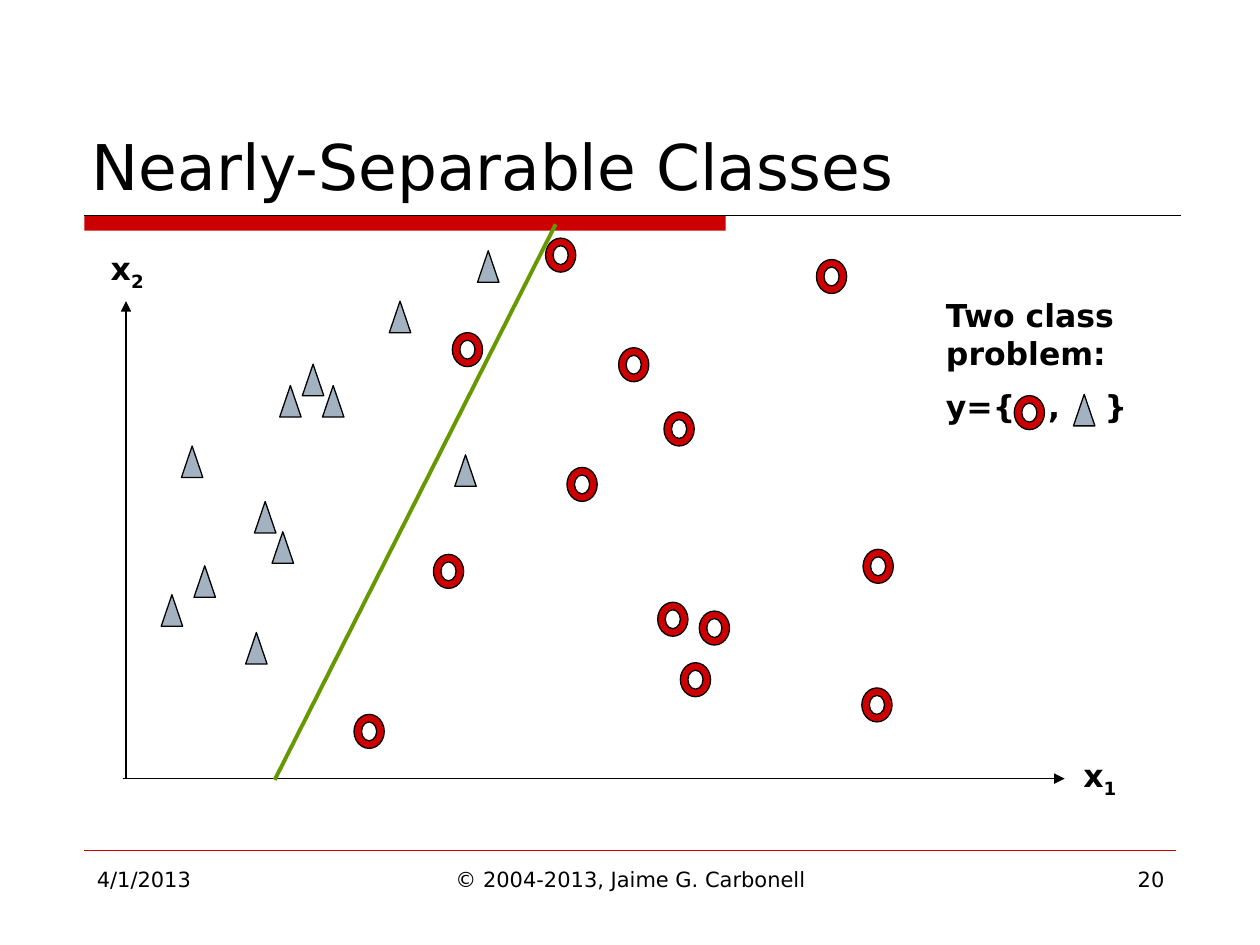
from typing import NamedTuple

import lxml.etree
import pptx
import pptx.dml.color
import pptx.enum.shapes
import pptx.enum.text
import pptx.oxml.ns
import pptx.util

Inches = pptx.util.Inches
Pt = pptx.util.Pt
Shape = pptx.enum.shapes.MSO_SHAPE
Align = pptx.enum.text.PP_ALIGN
Anchor = pptx.enum.text.MSO_ANCHOR
qn = pptx.oxml.ns.qn

FONT = "DejaVu Sans"
BLACK, RED, GREEN, STEEL = "000000", "CC0000", "669900", "A3B2C1"


class Marker(NamedTuple):
    kind: Shape
    width: float
    height: float
    fill: str


class Spot(NamedTuple):
    left: float
    top: float


class Label(NamedTuple):
    text: str
    left: float
    width: float
    align: Align


TRIANGLE = Marker(Shape.ISOSCELES_TRIANGLE, 0.17, 0.25, STEEL)
RING = Marker(Shape.DONUT, 0.24, 0.27, RED)

TRIANGLE_SPOTS = [
    Spot(1.44, 3.54), Spot(1.28, 4.72), Spot(2.16, 4.22), Spot(3.09, 2.39),
    Spot(1.54, 4.49), Spot(2.22, 3.06), Spot(2.02, 3.98), Spot(2.4, 2.89),
    Spot(3.79, 1.99), Spot(2.56, 3.06), Spot(1.95, 5.02), Spot(3.61, 3.61),
]
RING_SPOTS = [
    Spot(2.81, 5.67), Spot(3.44, 4.4), Spot(4.33, 1.89), Spot(4.5, 3.71),
    Spot(5.4, 5.26), Spot(5.55, 4.85), Spot(5.22, 4.78), Spot(6.48, 2.06),
    Spot(5.27, 3.27), Spot(6.85, 4.36), Spot(6.84, 5.46), Spot(4.91, 2.76),
    Spot(3.59, 2.64),
]
FOOTERS = [
    Label("4/1/2013", 0.67, 2.17, Align.LEFT),
    Label("© 2004-2013, Jaime G. Carbonell", 3.42, 3.17, Align.CENTER),
    Label("20", 7.17, 2.17, Align.RIGHT),
]


def color(code: str) -> pptx.dml.color.RGBColor:
    return pptx.dml.color.RGBColor.from_string(code)


def add_line(page, x1: float, y1: float, x2: float, y2: float,
             stroke: str = BLACK, weight: float = 0.75, arrow: bool = False) -> None:
    line = page.shapes.add_connector(
        pptx.enum.shapes.MSO_CONNECTOR.STRAIGHT,
        Inches(x1), Inches(y1), Inches(x2), Inches(y2))
    line.line.color.rgb = color(stroke)
    line.line.width = Pt(weight)
    if arrow:
        outline = line.line._get_or_add_ln()
        lxml.etree.SubElement(outline, qn("a:tailEnd"), type="triangle")
    lxml.etree.SubElement(line._element.spPr, qn("a:effectLst"))


def add_figure(page, marker: Marker, spot: Spot, outlined: bool = True) -> None:
    figure = page.shapes.add_shape(
        marker.kind, Inches(spot.left), Inches(spot.top),
        Inches(marker.width), Inches(marker.height))
    figure.shadow.inherit = False
    figure.fill.solid()
    figure.fill.fore_color.rgb = color(marker.fill)
    if outlined:
        figure.line.color.rgb = color(BLACK)
        figure.line.width = Pt(0.75)
    else:
        figure.line.fill.background()


def add_box(page, left: float, top: float, width: float, height: float,
            wrap: bool = True, anchor: Anchor = Anchor.TOP):
    box = page.shapes.add_textbox(
        Inches(left), Inches(top), Inches(width), Inches(height))
    box.text_frame.word_wrap = wrap
    box.text_frame.vertical_anchor = anchor
    return box.text_frame


def add_span(para, text: str, size: float = 18, bold: bool = False,
             baseline: int = 0) -> None:
    span = para.add_run()
    span.text = text
    span.font.name = FONT
    span.font.size = Pt(size)
    span.font.bold = bold
    span.font.color.rgb = color(BLACK)
    if baseline:
        span.font._element.set("baseline", str(baseline * 1000))


def add_tab_stops(para, *stops: float) -> None:
    tabs = lxml.etree.SubElement(para._p.get_or_add_pPr(), qn("a:tabLst"))
    for stop in stops:
        lxml.etree.SubElement(tabs, qn("a:tab"), pos=str(Inches(stop)), algn="l")


def add_axis_label(page, index: str, left: float, top: float) -> None:
    para = add_box(page, left, top, 0.49, 0.4, wrap=False).paragraphs[0]
    add_span(para, "x", bold=True)
    add_span(para, index, bold=True, baseline=-25)


def main() -> None:
    deck = pptx.Presentation()
    deck.slide_width, deck.slide_height = Inches(10), Inches(7.5)
    page = deck.slides.add_slide(deck.slide_layouts[6])

    # Title and its rule
    add_figure(page, Marker(Shape.RECTANGLE, 5.09, 0.12, RED),
               Spot(0.67, 1.71), outlined=False)
    add_line(page, 0.67, 1.71, 9.37, 1.71)
    title = add_box(page, 0.63, 0.33, 8.75, 1.33, anchor=Anchor.BOTTOM)
    add_span(title.paragraphs[0], "Nearly-Separable Classes", size=36)

    # Footer
    add_line(page, 0.67, 6.75, 9.33, 6.75, stroke=RED, weight=0.25)
    for label in FOOTERS:
        para = add_box(page, label.left, 6.83, label.width, 0.52).paragraphs[0]
        para.alignment = label.align
        add_span(para, label.text, size=12)

    # Axes
    add_line(page, 0.98, 6.18, 8.45, 6.18, arrow=True)
    add_line(page, 1, 6.18, 1, 2.39, arrow=True)
    add_axis_label(page, "1", 8.5, 5.95)
    add_axis_label(page, "2", 0.78, 1.93)

    # Data points
    for marker, spots in ((TRIANGLE, TRIANGLE_SPOTS), (RING, RING_SPOTS)):
        for spot in spots:
            add_figure(page, marker, spot)

    # Legend, with tab stops leaving room for the two symbols
    legend = add_box(page, 7.41, 2.3, 1.76, 1.15)
    heading, classes = legend.paragraphs[0], legend.add_paragraph()
    for para, text in ((heading, "Two class problem:"), (classes, "y={\t,\t}")):
        para.space_before = Pt(9)
        add_span(para, text, bold=True)
    add_tab_stops(classes, 0.81, 1.26)
    add_figure(page, RING, Spot(8.05, 3.14))
    add_figure(page, TRIANGLE, Spot(8.52, 3.13))

    # Separating line
    add_line(page, 2.18, 6.19, 4.41, 1.78, stroke=GREEN, weight=2.25)

    deck.save("out.pptx")


if __name__ == "__main__":
    main()
